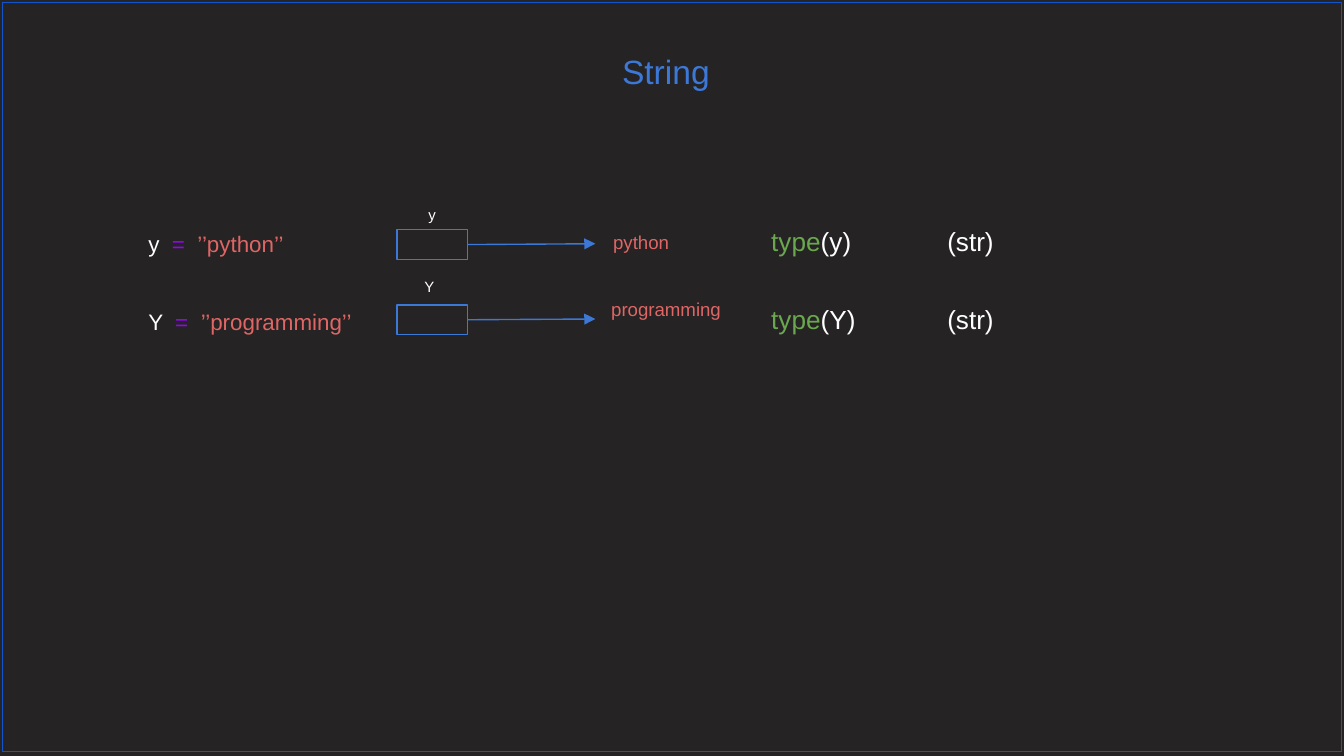
from lxml.etree import SubElement
from pptx import Presentation
from pptx.dml.color import RGBColor
from pptx.enum.shapes import MSO_CONNECTOR, MSO_SHAPE
from pptx.enum.text import MSO_ANCHOR, MSO_AUTO_SIZE, PP_ALIGN
from pptx.oxml.ns import qn
from pptx.util import Inches, Pt

DARK = RGBColor(0x25, 0x23, 0x23)
WHITE = RGBColor(0xFF, 0xFF, 0xFF)
BLUE = RGBColor(0x3C, 0x78, 0xD8)
EDGE = RGBColor(0x11, 0x55, 0xCC)
RED = RGBColor(0xE0, 0x66, 0x66)
PURPLE = RGBColor(0x99, 0x00, 0xFF)
GREEN = RGBColor(0x6A, 0xA8, 0x4F)

deck = Presentation()
deck.slide_width = Inches(10)
deck.slide_height = deck.slide_width * 9 // 16
COL, ROW = deck.slide_width / 100, deck.slide_height / 100
slide = deck.slides.add_slide(deck.slide_layouts[5])
slide.background.fill.solid()
slide.background.fill.fore_color.rgb = DARK
shapes = slide.shapes


def grid(x, y, wide, high):
    """Turn hundredths of the slide into a left, top, width and height."""
    return int(x * COL), int(y * ROW), int(wide * COL), int(high * ROW)


def write(box, size, runs, align=PP_ALIGN.LEFT, fit=MSO_AUTO_SIZE.SHAPE_TO_FIT_TEXT):
    """Fill a box with one paragraph of (text, colour) runs."""
    frame = box.text_frame
    frame.word_wrap = True
    frame.auto_size = fit
    frame.vertical_anchor = MSO_ANCHOR.TOP
    frame.margin_left = frame.margin_right = Inches(0.1)
    frame.margin_top = frame.margin_bottom = Inches(0.1)
    line = frame.paragraphs[0]
    line.alignment = align
    line.font.size, line.font.name = Pt(size), "Arial"
    for text, color in runs:
        run = line.add_run()
        run.text = text
        run.font.color.rgb = color


title = shapes.title
title.left, title.top, title.width, title.height = grid(-0.45, 5, 100, 11.2)
write(title, 18, [("String", BLUE)], PP_ALIGN.CENTER, MSO_AUTO_SIZE.NONE)

# Name, value, code width, label place, value top and width
items = [
    ("y", "python", 14.5, (30.5, 26), (29.05, 8.4)),
    ("Y", "programming", 18.6, (30.3, 35.5), (37.9, 12.1)),
]
frames = [(grid(0.2, 0.35, 99.6, 99.1), EDGE)]
for i, (name, value, wide, label, (level, span)) in enumerate(items):
    cell = 30.4 + 9.95 * i
    code = 28.1 + 10.3 * i
    frames.append((grid(29.55, cell, 5.25, 3.95), BLUE))

    x1, y1, x2, y2 = grid(34.8, cell + 1.95, 44.3, cell + 1.85)
    arrow = shapes.add_connector(MSO_CONNECTOR.STRAIGHT, x1, y1, x2, y2)
    arrow.line.color.rgb, arrow.line.width = BLUE, Pt(0.75)
    form = arrow.element.spPr
    SubElement(form.get_or_add_ln(), qn("a:tailEnd"), type="triangle")
    SubElement(form, qn("a:effectLst"))

    texts = [
        ((*label, 3.3, 6), 8, [(name, WHITE)], PP_ALIGN.CENTER),
        ((43.5, level, span, 6.6), 10, [(value, RED)], PP_ALIGN.CENTER),
        ((10.05, code + 0.55, wide, 7.1), 12,
         [(f"{name}  ", WHITE), ("=  ", PURPLE), (f"’’{value}’’", RED)], PP_ALIGN.LEFT),
        ((56.4, code, 16.7, 7.8), 14,
         [("type", GREEN), (f"({name})", WHITE)], PP_ALIGN.LEFT),
        ((69.5, code, 7.7, 7.8), 14, [("(str)", WHITE)], PP_ALIGN.LEFT),
    ]
    for place, size, runs, align in texts:
        write(shapes.add_textbox(*grid(*place)), size, runs, align)

for place, color in frames:
    rect = shapes.add_shape(MSO_SHAPE.RECTANGLE, *place)
    rect.shadow.inherit = False
    rect.fill.background()
    rect.line.color.rgb, rect.line.width = color, Pt(0.75)

deck.save("out.pptx")
